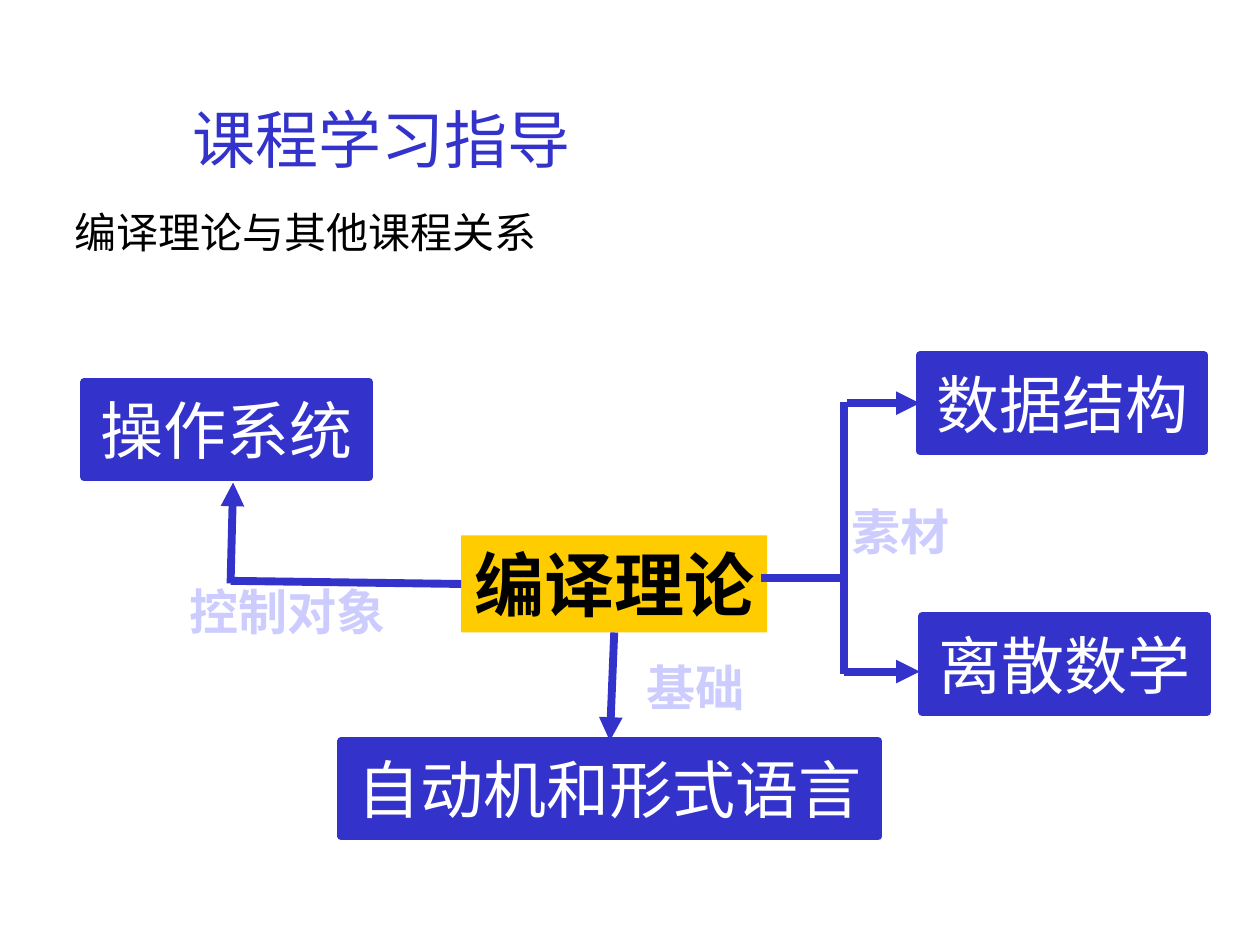
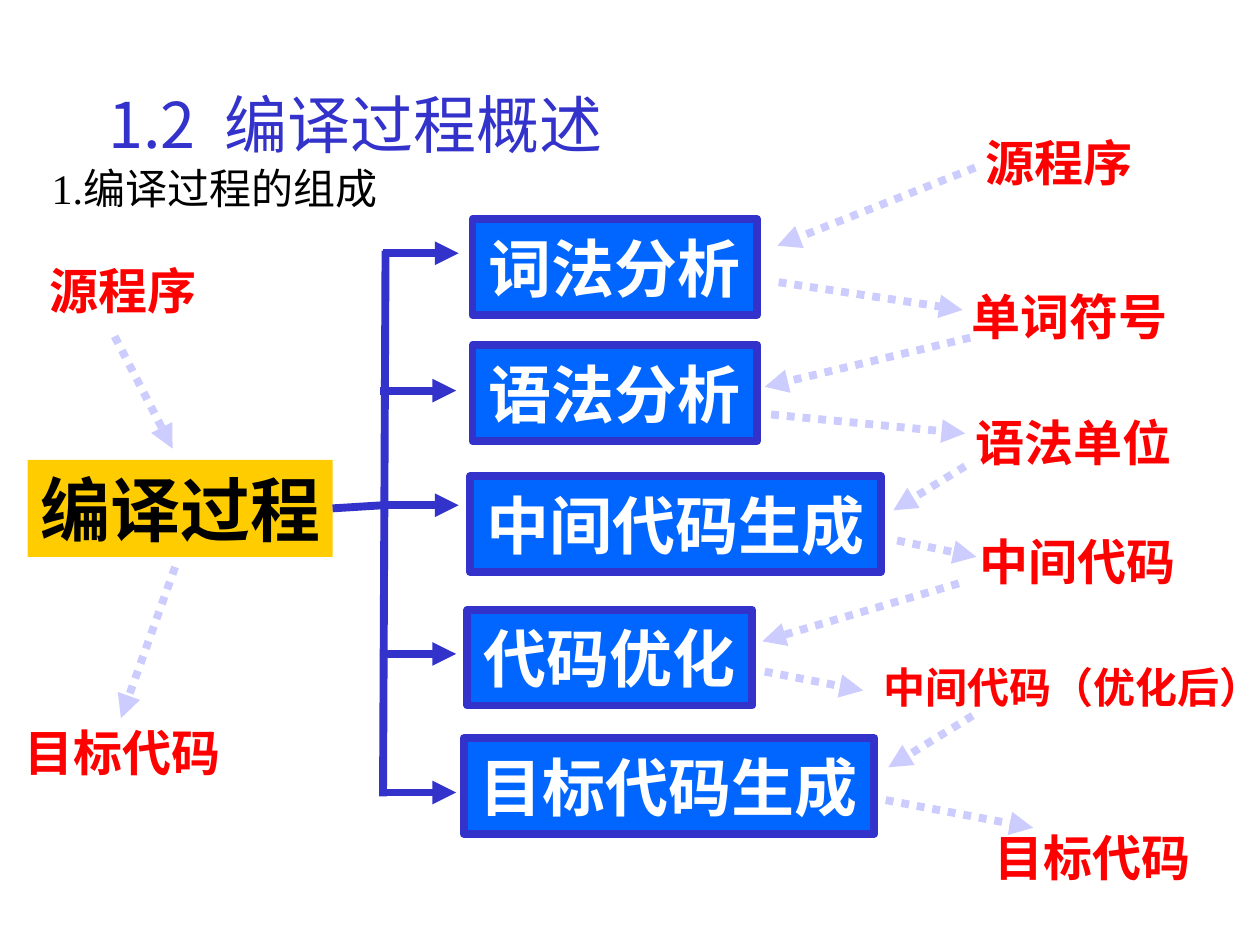
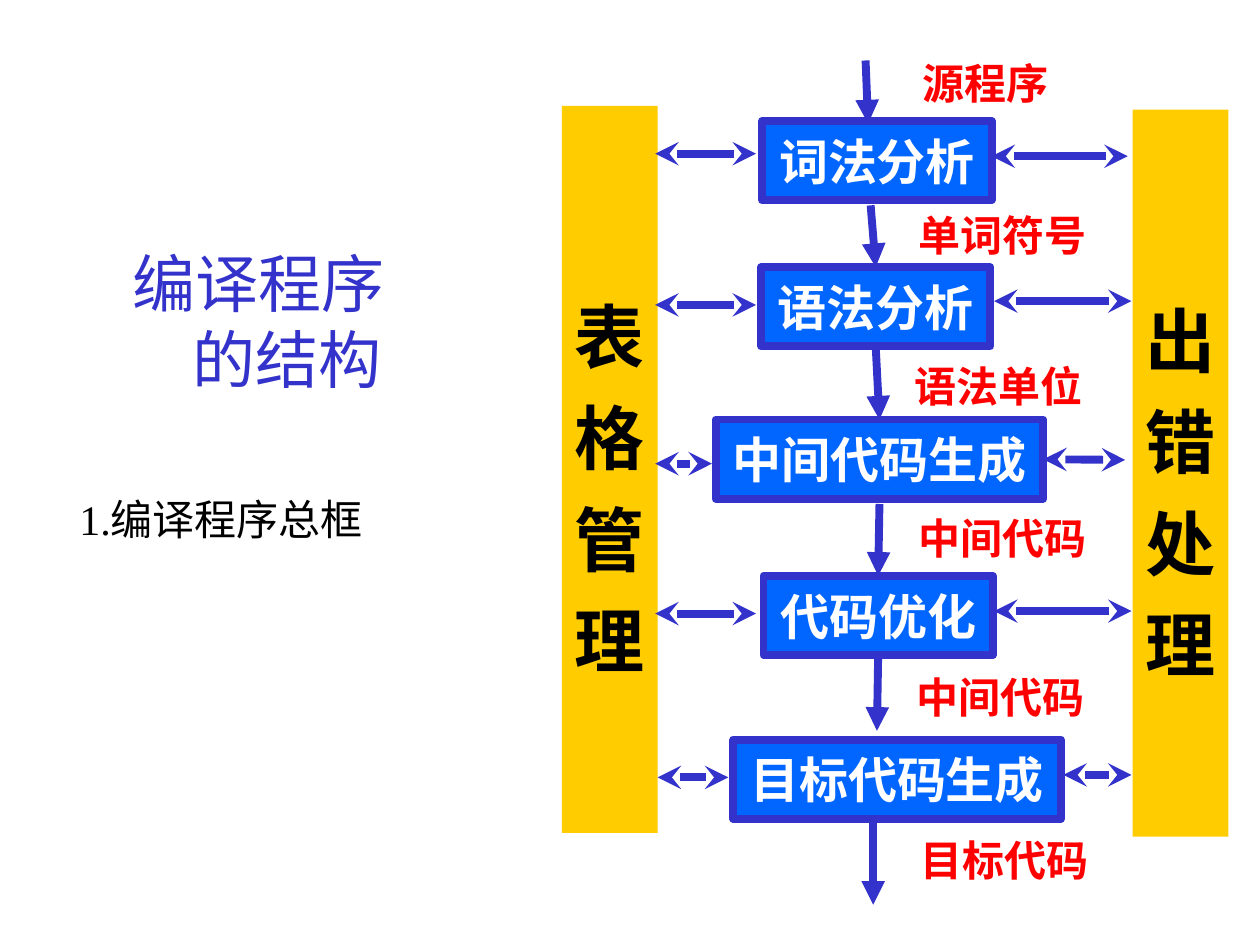
from dataclasses import dataclass

from lxml import etree
from pptx import Presentation
from pptx import util as u
from pptx.dml.color import RGBColor
from pptx.enum import shapes, text
from pptx.oxml.ns import qn

PX = 9144  # 100 px to the inch


@dataclass(frozen=True)
class Theme:
    blue: str = "3333CC"
    sky: str = "0066FF"
    gold: str = "FFCC00"
    pale: str = "CCCCFF"
    red: str = "FF0000"
    black: str = "000000"
    white: str = "FFFFFF"
    sans: str = "Noto Sans CJK SC"
    serif: str = "Times New Roman"
    huge: int = 40
    big: int = 36
    mid: int = 28
    small: int = 24
    line: float = 4.5


T = Theme()

# Box styles: fill, outline, type size, type colour, bold
STYLES = {
    "core": (T.gold, None, T.huge, T.black, True),
    "course": (T.blue, T.blue, T.big, T.white, False),
    "step": (T.sky, T.blue, T.big, T.white, True),
    "stage": (T.sky, T.blue, T.mid, T.white, True),
    "link": (None, None, T.mid, T.pale, True),
    "data": (None, None, T.mid, T.red, True),
    "item": (None, None, T.small, T.red, True),
}

# Line styles: colour, dash, arrow at start, arrow at end
WIRES = {
    "plain": (T.blue, None, None, None),
    "arrow": (T.blue, None, None, "triangle"),
    "back": (T.blue, None, "triangle", None),
    "flow": (T.pale, "sysDot", None, "triangle"),
    "both": (T.blue, None, "stealth", "stealth"),
}


def write(shape, lines, size, color, bold=False, face=T.sans, align="CENTER", anchor="MIDDLE", wrap=False):
    """Fill a shape with lines, each an indent and a list of runs."""
    frame = shape.text_frame
    frame.word_wrap = wrap
    frame.auto_size = text.MSO_AUTO_SIZE.NONE
    frame.vertical_anchor = text.MSO_ANCHOR[anchor]
    for n, (dent, runs) in enumerate(lines):
        para = frame.add_paragraph() if n else frame.paragraphs[0]
        props = para._p.get_or_add_pPr()
        props.set("marL", str(dent * PX))
        props.set("indent", "0")
        etree.SubElement(props, qn("a:buNone"))
        para.alignment = text.PP_ALIGN[align]
        para.space_before = u.Pt(0)
        for word in runs:
            run = para.add_run()
            run.text = word
            font = run.font
            font.size, font.bold, font.name = u.Pt(size), bold, face
            font.color.rgb = RGBColor.from_string(color)
            rpr = run._r.get_or_add_rPr()
            etree.SubElement(rpr, qn("a:ea")).set("typeface", T.sans)
            if word == " ":
                rpr.set("spc", "800")  # widens the gap after the number


def wire(slide, rects, kind, ends):
    """Draw a line; an end within 3 px of a side's middle is joined to it."""
    color, dash, head, tail = WIRES[kind]
    line = slide.shapes.add_connector(shapes.MSO_CONNECTOR.STRAIGHT, *(v * PX for v in ends))
    line.line.color.rgb = RGBColor.from_string(color)
    line.line.width = u.Pt(T.line)
    pen = line.line._get_or_add_ln()
    for tag, val in (("prstDash", dash), ("headEnd", head), ("tailEnd", tail)):
        if val:
            key = "val" if tag == "prstDash" else "type"
            etree.SubElement(pen, qn("a:" + tag)).set(key, val)
    etree.SubElement(line._element.spPr, qn("a:effectLst"))
    for join, (x, y) in ((line.begin_connect, ends[:2]), (line.end_connect, ends[2:])):
        for rect, (left, top, wide, high) in rects:
            sides = ((left + wide / 2, top), (left, top + high / 2),
                     (left + wide / 2, top + high), (left + wide, top + high / 2))
            for side, (sx, sy) in enumerate(sides):
                if abs(sx - x) <= 3 and abs(sy - y) <= 3:
                    join(rect, side)


# Slide 1: related courses
courses = {
    "title": ((67, 75, 472, 50), [(0, ["课程学习指导"])]),
    "body": ((49, 159, 390, 51), "编译理论与其他课程关系"),
    "boxes": [
        ("core", "编译理论", (366, 425, 243, 77)),
        ("course", "自动机和形式语言", (271, 588, 426, 76)),
        ("course", "离散数学", (732, 489, 226, 76)),
        ("course", "数据结构", (730, 282, 226, 76)),
        ("course", "操作系统", (67, 303, 226, 76)),
        ("link", "素材", (666, 393, 98, 57)),
        ("link", "基础", (498, 517, 108, 57)),
        ("link", "控制对象", (140, 456, 176, 57)),
    ],
    "wires": [
        ("back", (485, 585, 485, 500)),
        ("plain", (365, 461, 183, 461)),
        ("arrow", (183, 463, 185, 383)),
        ("plain", (604, 459, 672, 459)),
        ("plain", (670, 459, 670, 319)),
        ("arrow", (672, 320, 728, 320)),
        ("plain", (670, 459, 670, 535)),
        ("arrow", (670, 533, 730, 533)),
    ],
}

# Slide 2: steps of compiling and what passes between them
steps = {
    "title": ((46, 63, 472, 50), [(0, ["1.2", " ", "编译过程概述"])]),
    "body": ((31, 124, 331, 57), "1.编译过程的组成"),
    "boxes": [
        ("core", "编译过程", (22, 365, 242, 77)),
        ("step", "词法分析", (375, 174, 226, 76)),
        ("step", "语法分析", (375, 274, 226, 76)),
        ("step", "中间代码生成", (373, 378, 326, 76)),
        ("step", "代码优化", (371, 484, 226, 76)),
        ("step", "目标代码生成", (368, 586, 326, 76)),
        ("data", "源程序", (772, 100, 137, 57)),
        ("data", "单词符号", (761, 222, 176, 57)),
        ("data", "语法单位", (764, 322, 176, 57)),
        ("data", "中间代码", (767, 417, 176, 57)),
        ("item", "中间代码（优化后）", (691, 520, 320, 50)),
        ("data", "目标代码", (779, 652, 176, 57)),
        ("data", "源程序", (29, 202, 137, 57)),
        ("data", "目标代码", (9, 568, 176, 57)),
    ],
    "wires": [("plain", (262, 403, 304, 401)), ("plain", (304, 632, 306, 199))]
    + [("arrow", (x, y, x + 60, y))
       for x, y in ((304, 201), (302, 310), (304, 401), (302, 519), (302, 629))]
    + [("flow", ends) for ends in (
        (91, 267, 137, 356), (139, 450, 96, 570),
        (774, 133, 617, 195), (618, 224, 764, 246),
        (770, 268, 607, 307), (612, 329, 766, 344),
        (766, 370, 709, 405), (712, 429, 775, 442),
        (761, 463, 605, 509), (607, 533, 685, 548),
        (772, 568, 705, 609), (703, 635, 820, 657))],
}

# Slide 3: structure of the compiler
parts = {
    "title": ((30, 189, 351, 127), [(0, ["编译程序"]), (45, ["的结构"])]),
    "body": ((53, 387, 305, 57), "1.编译程序总框"),
    "boxes": [
        ("core", "表\n格\n管\n理", (446, 84, 76, 577)),
        ("core", "出\n错\n处\n理", (899, 87, 76, 577)),
        ("stage", "词法分析", (605, 96, 182, 63)),
        ("stage", "语法分析", (604, 212, 182, 63)),
        ("stage", "中间代码生成", (568, 333, 260, 63)),
        ("stage", "代码优化", (606, 457, 182, 63)),
        ("stage", "目标代码生成", (582, 587, 260, 63)),
        ("item", "源程序", (722, 41, 120, 50)),
        ("item", "单词符号", (719, 161, 153, 50)),
        ("item", "语法单位", (716, 281, 153, 50)),
        ("item", "中间代码", (719, 402, 153, 50)),
        ("item", "中间代码", (718, 528, 153, 50)),
        ("item", "目标代码", (721, 657, 153, 50)),
    ],
    "wires": [("both", ends) for ends in (
        (600, 122, 520, 122), (895, 124, 787, 124),
        (600, 242, 520, 242), (898, 239, 789, 239),
        (565, 368, 520, 368), (893, 365, 828, 363),
        (600, 487, 520, 487), (898, 485, 789, 485),
        (578, 617, 522, 617), (898, 615, 844, 615))]
    + [("arrow", ends) for ends in (
        (687, 48, 689, 98), (691, 163, 693, 209), (693, 278, 696, 330),
        (698, 400, 696, 457), (698, 520, 696, 580), (693, 650, 693, 718))],
}

deck = Presentation()
deck.slide_width, deck.slide_height = 1000 * PX, 750 * PX

for plan in (courses, steps, parts):
    slide = deck.slides.add_slide(deck.slide_layouts[1])

    # Title and heading
    head, body = slide.shapes.title, slide.placeholders[1]
    for holder, area in ((head, plan["title"][0]), (body, plan["body"][0])):
        holder.left, holder.top, holder.width, holder.height = (v * PX for v in area)
    write(head, plan["title"][1], T.big, T.blue, anchor="TOP")
    write(body, [(0, [plan["body"][1]])], T.small, T.black, face=T.serif,
          align="LEFT", anchor="TOP", wrap=True)

    # Boxes and labels
    rects = []
    for kind, words, area in plan["boxes"]:
        fill, edge, size, color, bold = STYLES[kind]
        place = [v * PX for v in area]
        if fill:
            box = slide.shapes.add_shape(shapes.MSO_SHAPE.RECTANGLE, *place)
            box.shadow.inherit = False
            box.fill.solid()
            box.fill.fore_color.rgb = RGBColor.from_string(fill)
            rects.append((box, area))
            if edge:
                box.line.color.rgb = RGBColor.from_string(edge)
                box.line.width = u.Pt(T.line)
            else:
                box.line.fill.background()
        else:
            box = slide.shapes.add_textbox(*place)
        lines = [(0, [word]) for word in words.split("\n")]
        write(box, lines, size, color, bold)
        if len(lines) > 1:  # upright strip
            box.text_frame.margin_top = 34 * PX
            for para in box.text_frame.paragraphs[1:]:
                para.space_before = u.Pt(10)

    # Lines and arrows
    for kind, ends in plan["wires"]:
        wire(slide, rects, kind, ends)

deck.save("out.pptx")
